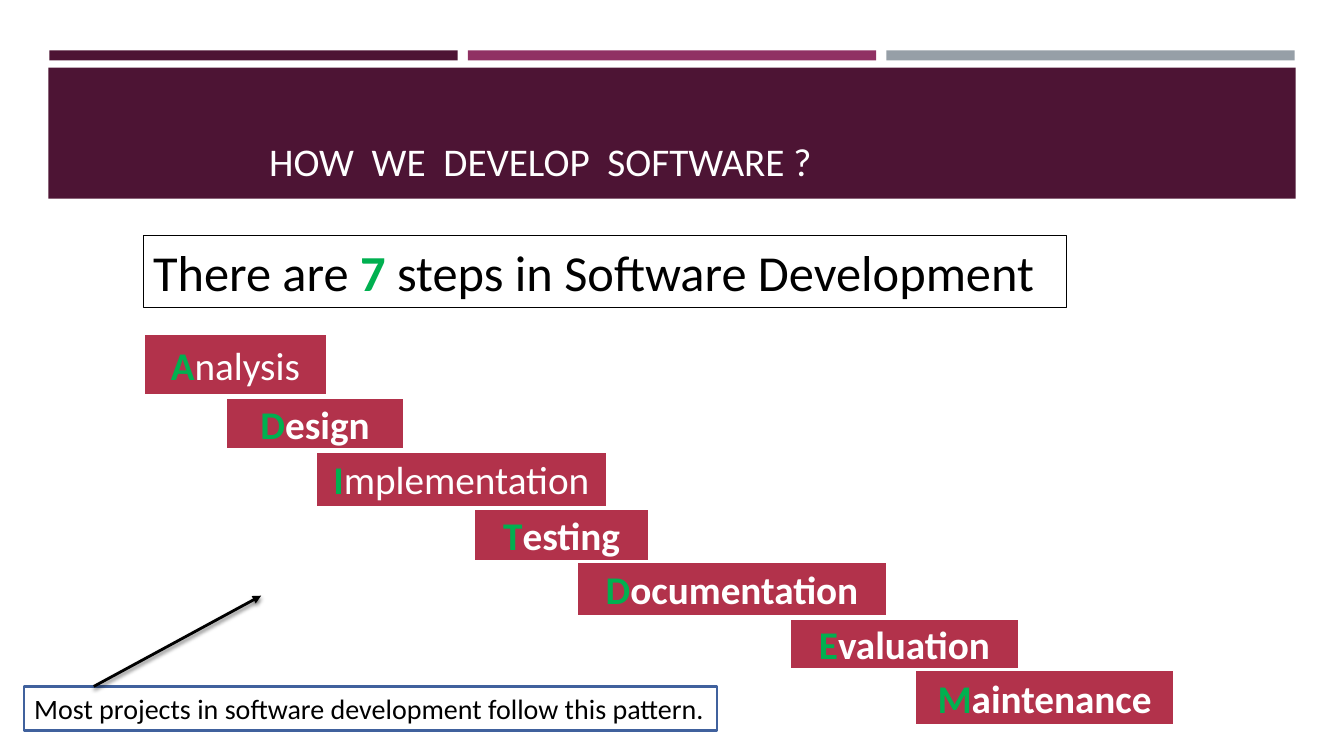
from dataclasses import dataclass

from lxml import etree
from pptx import Presentation
from pptx.dml.color import RGBColor
from pptx.enum.shapes import MSO_CONNECTOR, MSO_SHAPE
from pptx.enum.text import MSO_ANCHOR, PP_ALIGN
from pptx.oxml.ns import qn
from pptx.shapes.autoshape import Shape
from pptx.slide import Slide
from pptx.text.text import _Paragraph as Para
from pptx.util import Pt

PX = 9144
RECT = MSO_SHAPE.RECTANGLE
LINE = MSO_CONNECTOR.STRAIGHT
LEFT, CENTER = PP_ALIGN.LEFT, PP_ALIGN.CENTER
TOP, MIDDLE, BOTTOM = MSO_ANCHOR.TOP, MSO_ANCHOR.MIDDLE, MSO_ANCHOR.BOTTOM


@dataclass(frozen=True)
class Theme:
    font: str = "Calibri"
    dark: str = "4D1434"
    plum: str = "903163"
    gray: str = "969FA7"
    red: str = "B2324B"
    green: str = "00B050"
    blue: str = "40619D"
    white: str = "FFFFFF"
    black: str = "000000"
    head: int = 36
    body: int = 28
    note: int = 20


@dataclass(frozen=True)
class Box:
    left: int
    top: int
    width: int
    height: int


@dataclass(frozen=True)
class Step:
    name: str
    box: Box
    bold: bool = True


THEME = Theme()
BARS = [THEME.dark, THEME.plum, THEME.gray]
STEPS = [
    Step("Analysis", Box(142, 331, 183, 61), False),
    Step("Design", Box(224, 394, 177, 52)),
    Step("Implementation", Box(313, 448, 289, 55), False),
    Step("Testing", Box(470, 505, 174, 52)),
    Step("Documentation", Box(572, 557, 308, 55)),
    Step("Evaluation", Box(783, 614, 228, 50)),
    Step("Maintenance", Box(907, 664, 258, 56)),
]


def add_run(para: Para, text: str, size: int, color: str, bold: bool = False) -> None:
    run = para.add_run()
    run.text = text
    run.font.name = THEME.font
    run.font.size = Pt(size)
    run.font.bold = bold
    run.font.color.rgb = RGBColor.from_string(color)


def add_rect(slide: Slide, box: Box, fill: str, line: str = "", width: float = 0) -> Shape:
    rect = slide.shapes.add_shape(
        RECT, box.left * PX, box.top * PX, box.width * PX, box.height * PX
    )
    rect.shadow.inherit = False
    rect.fill.solid()
    rect.fill.fore_color.rgb = RGBColor.from_string(fill)
    if line:
        rect.line.color.rgb = RGBColor.from_string(line)
        rect.line.width = Pt(width)
    else:
        rect.line.fill.background()
    return rect


def set_text(shape: Shape, align: PP_ALIGN, anchor: MSO_ANCHOR) -> Para:
    frame = shape.text_frame
    frame.word_wrap = True
    frame.vertical_anchor = anchor
    para = frame.paragraphs[0]
    para.alignment = align
    return para


def add_title(slide: Slide, box: Box, text: str) -> None:
    title = slide.shapes.title
    slide.shapes.element.append(title.element)
    title.left, title.top = box.left * PX, box.top * PX
    title.width, title.height = box.width * PX, box.height * PX
    para = set_text(title, LEFT, BOTTOM)
    title.text_frame.margin_left = 203 * PX
    add_run(para, text, THEME.body, THEME.white)


def add_step(slide: Slide, step: Step) -> None:
    rect = add_rect(slide, step.box, THEME.red, THEME.white, 2)
    para = set_text(rect, CENTER, MIDDLE)
    add_run(para, step.name[0], THEME.body, THEME.green, True)
    add_run(para, step.name[1:], THEME.body, THEME.white, step.bold)


def add_arrow(slide: Slide, start: tuple[int, int], end: tuple[int, int]) -> None:
    arrow = slide.shapes.add_connector(
        LINE, start[0] * PX, start[1] * PX, end[0] * PX, end[1] * PX
    )
    arrow.line.color.rgb = RGBColor.from_string(THEME.black)
    arrow.line.width = Pt(2)
    etree.SubElement(arrow.line._get_or_add_ln(), qn("a:tailEnd"), type="triangle")
    props = arrow.element.spPr
    effect = etree.SubElement(props, qn("a:effectLst"))
    shade = etree.SubElement(
        effect, qn("a:outerShdw"), blurRad=str(Pt(3)), dist=str(Pt(2)),
        dir="5400000", rotWithShape="0",
    )
    color = etree.SubElement(shade, qn("a:srgbClr"), val=THEME.black)
    etree.SubElement(color, qn("a:alpha"), val="55000")


def main() -> None:
    deck = Presentation()
    deck.slide_width, deck.slide_height = 1333 * PX, 750 * PX
    slide = deck.slides.add_slide(deck.slide_layouts[5])

    for i, color in enumerate(BARS):
        add_rect(slide, Box(49 + i * 415, 50, 405, 10), color)
    add_rect(slide, Box(48, 67, 1237, 130), THEME.dark)
    add_title(slide, Box(64, 77, 1206, 111), "HOW  WE  DEVELOP  SOFTWARE ?")

    head = add_rect(slide, Box(142, 234, 916, 71), THEME.white, THEME.black, 0.75)
    para = set_text(head, LEFT, TOP)
    add_run(para, "There are ", THEME.head, THEME.black)
    add_run(para, "7", THEME.head, THEME.green, True)
    add_run(para, " steps in Software Development", THEME.head, THEME.black)

    for step in STEPS:
        add_step(slide, step)

    note = add_rect(slide, Box(24, 681, 687, 44), THEME.white, THEME.blue, 1.75)
    para = set_text(note, LEFT, TOP)
    add_run(
        para, "Most projects in software development follow this pattern.",
        THEME.note, THEME.black,
    )
    add_arrow(slide, (93, 681), (259, 591))
    deck.save("out.pptx")


if __name__ == "__main__":
    main()
